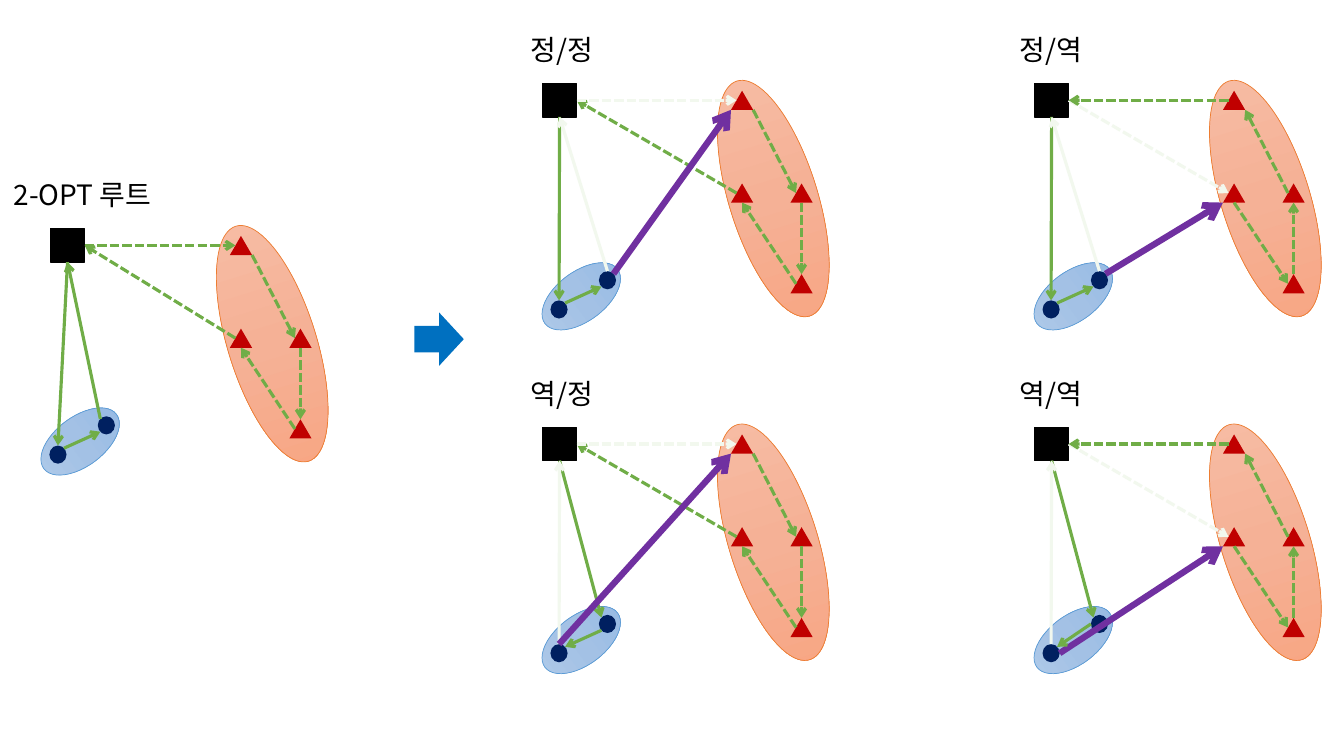
from copy import deepcopy
from lxml.etree import SubElement
from pptx import Presentation
from pptx.dml.color import RGBColor
from pptx.enum.dml import MSO_LINE
from pptx.enum.shapes import MSO_CONNECTOR, MSO_SHAPE
from pptx.enum.text import MSO_AUTO_SIZE, PP_ALIGN
from pptx.oxml.ns import qn
from pptx.util import Inches, Pt

# Content: each route is (kind, stops), a stop being node.site
FONT = "Noto Sans CJK KR"
COLORS = {
    "text": "000000", "depot": "000000", "dot": "002060", "stop": "C00000",
    "arrow": "0070C0", "route": "70AD47", "fade": "F2F8EE", "join": "7030A0",
    "warm": ("F7BDA5", "F5B196", "F8A582"), "warm line": "ED7D31",
    "cool": ("B1CBE9", "A3C1E5", "93B9E4"), "cool line": "5B9BD5",
}
KINDS = {  # color, width, dashed
    "solid": ("route", 2.25, False), "dash": ("route", 2.25, True),
    "fade": ("fade", 2.25, False), "fade dash": ("fade", 2.25, True),
    "join": ("join", 4.5, False),
}
LOOP = [("dash", "1.br 3.l"), ("dash", "3.b 4.t"), ("dash", "4.l 2.b")]
BACK = [(kind, " ".join(reversed(ends.split()))) for kind, ends in LOOP]
HOME = [("dash", "2.l d.r")]
OUT = [("solid", "d.b a.t"), ("solid", "a.tr b.bl")]
CUT = [("fade", "b.t d.b")]
TURN = [("solid", "d.b b.tl"), ("fade", "a.t d.b")]
SKIP_ONE = [("fade dash", "d.r 1.l")]
SKIP_TWO = [("fade dash", "d.r 2.l"), ("dash", "1.l d.r")]

PANELS = [  # label, label box, origin, depot shift, routes
    ("2-OPT 루트", (-0.13, 1.71, 1.9), (0.41, 2.27), 0.09,
     OUT + [("solid", "b.tl d.b"), ("dash", "d.r 1.l")] + LOOP + HOME),
    ("정/정", (4.72, 0.27, 1.71), (5.38, 0.83), 0,
     OUT + LOOP + HOME + SKIP_ONE + CUT + [("join", "b.tr 1.bl")]),
    ("정/역", (9.57, 0.27, 1.71), (10.26, 0.83), 0,
     OUT + BACK + SKIP_TWO + CUT + [("join", "b.tr 2.bl")]),
    ("역/정", (4.72, 3.69, 1.71), (5.38, 4.24), 0,
     TURN + LOOP + HOME + SKIP_ONE + [("join", "a.t 1.bl"), ("solid", "b.bl a.tr")]),
    ("역/역", (9.57, 3.69, 1.71), (10.26, 4.24), 0,
     BACK + SKIP_TWO + [("join", "a.r 2.bl")] + TURN + [("solid", "b.l a.tr")]),
]

# Panel geometry, measured from the panel origin
GROUPS = [(1.85, -0.08, 0.88, 2.44, 342.8, "warm"),
          (0.14, 1.66, 0.49, 0.9, 233.2, "cool")]
SPOTS = {"a": (0.08, 2.15), "b": (0.56, 1.86),
         "1": (1.87, 0.07), "2": (1.87, 0.99),
         "3": (2.46, 0.99), "4": (2.46, 1.89), "d": (0, 0)}
DOT = (MSO_SHAPE.OVAL, 0.17, 0.18, "dot",
       {"t": (0.5, 0), "tl": (0.15, 0.15), "tr": (0.85, 0.15),
        "l": (0, 0.5), "r": (1, 0.5), "bl": (0.15, 0.85)})
STOP = (MSO_SHAPE.ISOSCELES_TRIANGLE, 0.22, 0.19, "stop",
        {"t": (0.5, 0), "l": (0.25, 0.5), "bl": (0, 1),
         "b": (0.5, 1), "br": (1, 1)})
DEPOT = (MSO_SHAPE.RECTANGLE, 0.34, 0.33, "depot",
         {"b": (0.5, 1), "r": (1, 0.5)})
NODES = {"a": DOT, "b": DOT, "d": DEPOT, **dict.fromkeys("1234", STOP)}

deck = Presentation()
deck.slide_width, deck.slide_height = Inches(13.33), Inches(7.5)
slide = deck.slides.add_slide(deck.slide_layouts[6])


def rgb(name):
    return RGBColor.from_string(COLORS[name])


def add_text(text, x, y, w, h=0.44, size=20, color="text", align=PP_ALIGN.CENTER):
    frame = slide.shapes.add_textbox(*map(Inches, (x, y, w, h))).text_frame
    frame.word_wrap = True
    frame.auto_size = MSO_AUTO_SIZE.SHAPE_TO_FIT_TEXT
    para = frame.paragraphs[0]
    para.alignment = align
    run = para.add_run()
    run.text = text
    run.font.size, run.font.name = Pt(size), FONT
    run.font.color.rgb = rgb(color)
    SubElement(run.font._element, qn("a:ea"), typeface=FONT)


def add_form(form, x, y, w, h, color, line=None, width=1):
    shape = slide.shapes.add_shape(form, *map(Inches, (x, y, w, h)))
    shape.shadow.inherit = False
    shape.fill.solid()
    if isinstance(COLORS[color], str):
        shape.fill.fore_color.rgb = rgb(color)
    else:
        blend(shape.fill, COLORS[color])
    if line:
        shape.line.color.rgb = rgb(line)
        shape.line.width = Pt(width)
    else:
        shape.line.fill.background()
    return shape


def blend(fill, tones):
    fill.gradient()
    fill.gradient_angle = 270
    first = fill.gradient_stops[0]._gs
    first.addnext(deepcopy(first))
    for i, (stop, tone) in enumerate(zip(fill.gradient_stops, tones)):
        stop.position = i / 2
        stop.color.rgb = RGBColor.from_string(tone)


def add_route(start, end, color, width, dashed):
    link = slide.shapes.add_connector(
        MSO_CONNECTOR.STRAIGHT, *map(Inches, start + end))
    link.line.color.rgb = rgb(color)
    link.line.width = Pt(width)
    if dashed:
        link.line.dash_style = MSO_LINE.SQUARE_DOT
    SubElement(link.line._get_or_add_ln(), qn("a:tailEnd"), type="arrow")
    SubElement(link._element.spPr, qn("a:effectLst"))


def add_panel(label, box, origin, shift, routes):
    left, top = origin
    add_text(label, *box)
    # Clusters
    for x, y, w, h, turn, tone in GROUPS:
        oval = add_form(MSO_SHAPE.OVAL, left + x, top + y, w, h, tone,
                        line=tone + " line", width=0.5)
        oval.rotation = turn
    # Nodes and their connection sites
    sites = {}
    for key, (x, y) in SPOTS.items():
        form, w, h, color, ports = NODES[key]
        x += left + (shift if key == "d" else 0)
        y += top
        add_form(form, x, y, w, h, color, line="depot" if key == "d" else None)
        for port, (across, down) in ports.items():
            sites[f"{key}.{port}"] = (x + across * w, y + down * h)
    # Routes
    for kind, ends in routes:
        start, end = ends.split()
        add_route(sites[start], sites[end], *KINDS[kind])


for panel in PANELS:
    add_panel(*panel)

# Arrow from the start route to the four cases
add_form(MSO_SHAPE.RIGHT_ARROW, 4.11, 3.1, 0.49, 0.53, "arrow")

deck.save("out.pptx")
